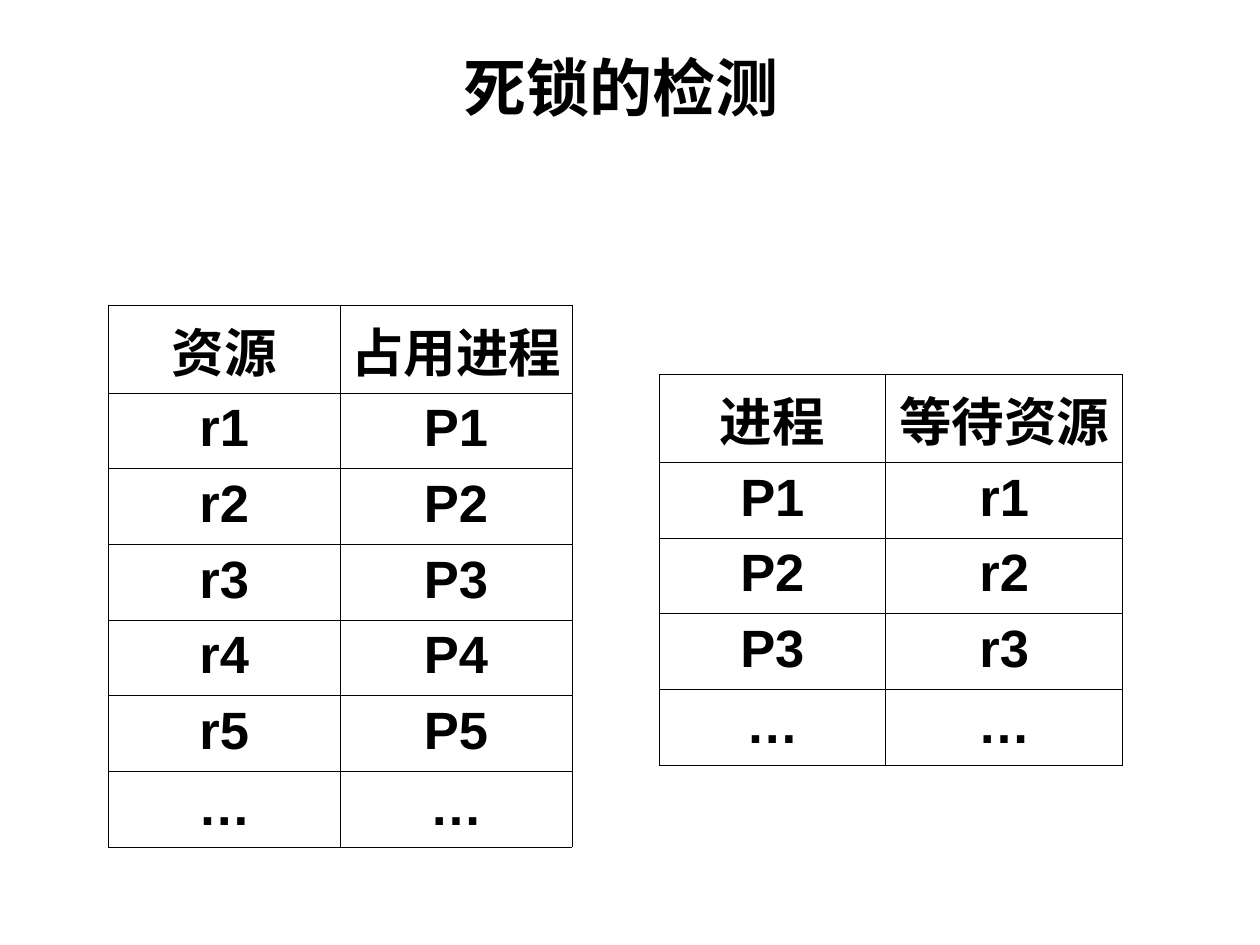
from dataclasses import dataclass

from lxml.etree import SubElement
from pptx import Presentation
from pptx.dml.color import RGBColor
from pptx.enum.text import MSO_ANCHOR, PP_ALIGN
from pptx.oxml.ns import qn
from pptx.util import Inches, Pt


@dataclass(frozen=True)
class Theme:
    ink: str = "000000"
    latin: str = "Arial"
    asian: str = "Noto Sans CJK JP"
    title: int = 36
    body: int = 30
    line: float = 0.5


THEME = Theme()
HEAD, ROW = 0.7, 0.56


def style(frame, size, face):
    para = frame.paragraphs[0]
    para.alignment = PP_ALIGN.CENTER
    for run in para.runs:
        font = run.font
        font.name, font.size, font.bold = face, Pt(size), True
        font.color.rgb = RGBColor.from_string(THEME.ink)
        SubElement(font._element, qn("a:ea"), typeface=THEME.asian)


def add_title(slide, text):
    box = slide.shapes.add_textbox(Inches(0.43), 0, Inches(9), Inches(1.37))
    frame = box.text_frame
    frame.word_wrap = True
    frame.vertical_anchor = MSO_ANCHOR.MIDDLE
    frame.text = text
    style(frame, THEME.title, THEME.asian)


def add_border(cell):
    props = cell._tc.get_or_add_tcPr()
    for side in ("lnL", "lnR", "lnT", "lnB"):
        line = SubElement(props, qn(f"a:{side}"), w=str(Pt(THEME.line)))
        fill = SubElement(line, qn("a:solidFill"))
        SubElement(fill, qn("a:srgbClr"), val=THEME.ink)


def fill_cell(cell, text):
    cell.margin_left = cell.margin_right = Inches(0.07)
    cell.margin_top = cell.margin_bottom = Inches(0.05)
    add_border(cell)
    cell.fill.background()
    cell.text_frame.text = text
    style(cell.text_frame, THEME.body, THEME.latin)


def add_grid(slide, left, top, widths, rows):
    high = HEAD + ROW * (len(rows) - 1)
    table = slide.shapes.add_table(
        len(rows), len(widths), Inches(left), Inches(top),
        Inches(sum(widths)), Inches(high)).table
    table.first_row = table.horz_banding = False
    for col, width in zip(table.columns, widths):
        col.width = Inches(width)
    for i, texts in enumerate(rows):
        table.rows[i].height = Inches(ROW if i else HEAD)
        for j, text in enumerate(texts):
            fill_cell(table.cell(i, j), text)


def main():
    deck = Presentation()
    deck.slide_width, deck.slide_height = Inches(10), Inches(7.5)
    slide = deck.slides.add_slide(deck.slide_layouts[6])
    add_title(slide, "死锁的检测")
    held = [(f"r{n}", f"P{n}") for n in range(1, 6)]
    waits = [(f"P{n}", f"r{n}") for n in range(1, 4)]
    more = ("…", "…")
    add_grid(slide, 0.86, 2.42, (1.84, 1.84),
             [("资源", "占用进程"), *held, more])
    add_grid(slide, 5.23, 2.97, (1.8, 1.88),
             [("进程", "等待资源"), *waits, more])
    deck.save("out.pptx")


if __name__ == "__main__":
    main()
